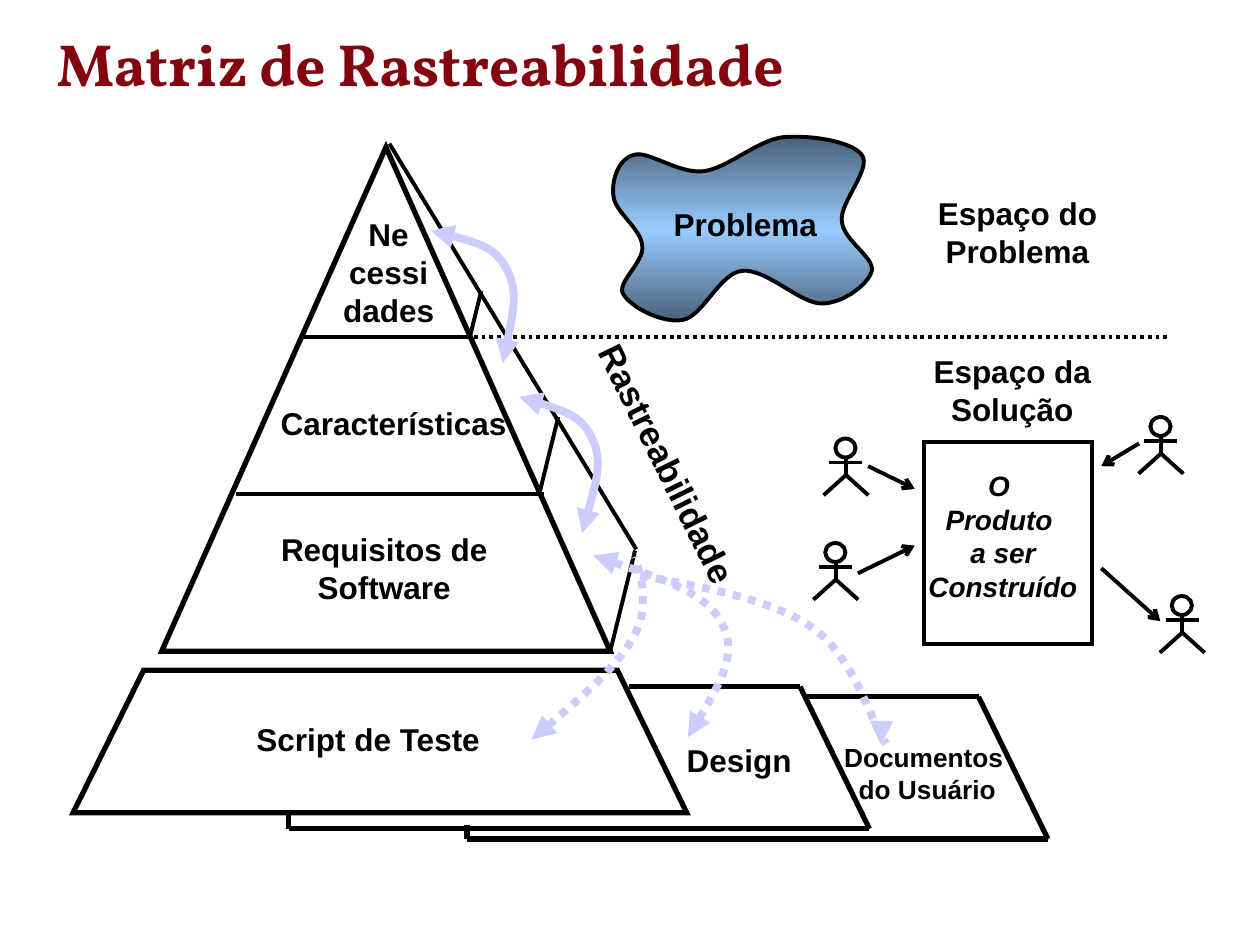
from copy import deepcopy
from dataclasses import dataclass

from lxml.etree import SubElement
from pptx import Presentation
from pptx.dml.color import RGBColor
from pptx.enum.dml import MSO_LINE
from pptx.enum.shapes import MSO_CONNECTOR, MSO_SHAPE
from pptx.enum.text import PP_ALIGN
from pptx.oxml.ns import qn
from pptx.util import Pt


@dataclass(frozen=True)
class Theme:
    ink: str = "000000"
    title: str = "83030F"
    trace: str = "CCCCFF"
    blob_edge: str = "475E76"
    blob_middle: str = "99CCFF"
    body_font: str = "Arial"
    title_font: str = "Vollkorn"
    title_size: float = 34
    trace_size: float = 20
    label_size: float = 18
    product_size: float = 16
    small_size: float = 15
    thin: float = 2.25
    thick: float = 3
    trace_width: float = 4.5


THEME = Theme()


def style_line(shape, color=THEME.ink, width=THEME.thin, dotted=False, head=None, tail=None):
    shape.line.color.rgb = RGBColor.from_string(color)
    shape.line.width = Pt(width)
    if dotted:
        shape.line.dash_style = MSO_LINE.ROUND_DOT
    outline = shape.element.spPr.find(qn("a:ln"))
    SubElement(outline, qn("a:miter"), lim="800000")
    for end, kind in (("a:headEnd", head), ("a:tailEnd", tail)):
        if kind:
            SubElement(outline, qn(end), type=kind)


def draw_line(page, start, end, **line_format):
    points = [Pt(value) for value in (*start, *end)]
    line = page.shapes.add_connector(MSO_CONNECTOR.STRAIGHT, *points)
    style_line(line, **line_format)
    SubElement(line.element.spPr, qn("a:effectLst"))


def draw_preset(page, kind, box, **line_format):
    shape = page.shapes.add_shape(kind, *[Pt(value) for value in box])
    shape.shadow.inherit = False
    shape.fill.background()
    style_line(shape, **line_format)


def draw_outline(page, points, closed=False, curved=False, **line_format):
    """Join points by straight lines, or read them as cubic curves (two controls, one end)."""
    start, *others = [(Pt(x), Pt(y)) for x, y in points]
    builder = page.shapes.build_freeform(*start)
    builder.add_line_segments(others, close=closed)
    shape = builder.convert_to_shape()
    if curved:
        steps = shape.element.xpath(".//a:lnTo")
        for first, second, third in zip(steps[::3], steps[1::3], steps[2::3]):
            first.tag = qn("a:cubicBezTo")
            for step in (second, third):
                first.append(step[0])
                step.getparent().remove(step)
    shape.shadow.inherit = False
    shape.fill.background()
    style_line(shape, **line_format)
    return shape


def put_text(page, text, box, size=THEME.label_size, font=THEME.body_font, color=THEME.ink,
             italic=False, align=PP_ALIGN.CENTER, inset=7.2, rotation=0):
    """Write bold text, one paragraph for each line."""
    text_box = page.shapes.add_textbox(*[Pt(value) for value in box])
    text_box.rotation = rotation
    frame = text_box.text_frame
    frame.word_wrap = True
    frame.margin_left = frame.margin_right = Pt(inset)
    frame.margin_top = frame.margin_bottom = Pt(inset / 2)
    frame.text = text
    for para in frame.paragraphs:
        para.alignment = align
        for span in para.runs:
            span.font.name = font
            span.font.size = Pt(size)
            span.font.bold = True
            span.font.italic = italic
            span.font.color.rgb = RGBColor.from_string(color)


def draw_problem_blob(page):
    blob = draw_outline(page, [
        (367, 140.4),
        (366.5, 131), (351.4, 121), (350.6, 112.3),
        (349.2, 103), (353.5, 90.7), (362.2, 88.6),
        (370, 85.7), (387.4, 99.4), (401.8, 97.9),
        (415.4, 96.5), (432, 80.6), (447.1, 78.5),
        (462.2, 77), (486.7, 80.6), (492.5, 88.6),
        (498.2, 96.5), (480.2, 115.2), (481, 126),
        (481.7, 137.5), (499.7, 146.9), (498.2, 154.8),
        (496.1, 162.7), (481.7, 173.5), (469.4, 173.5),
        (457.2, 173.5), (437.8, 153.4), (424.1, 154.8),
        (411.1, 156.2), (401.8, 180.7), (390.2, 182.9),
        (378.7, 185), (360.7, 175.7), (356.4, 168.5),
        (351.4, 162), (368.6, 149.8), (367, 140.4),
    ], closed=True, curved=True)
    blob.fill.gradient()
    blob.fill.gradient_angle = 90
    stop_list = blob.element.xpath(".//a:gsLst")[0]
    stop_list.insert(1, deepcopy(stop_list[0]))
    colors = (THEME.blob_edge, THEME.blob_middle, THEME.blob_edge)
    for stop, position, color in zip(blob.fill.gradient_stops, (0, 0.5, 1), colors):
        stop.position = position
        stop.color.rgb = RGBColor.from_string(color)


def draw_pyramid(page):
    draw_preset(page, MSO_SHAPE.ISOSCELES_TRIANGLE, (92.4, 84.2, 256.3, 288), width=THEME.thick)
    draw_line(page, (172.8, 192.4), (269.3, 192.4))
    draw_line(page, (134.6, 282.2), (311, 282.2))
    draw_line(page, (270.7, 192.6), (668.9, 192.6), dotted=True)


def draw_pyramid_side(page):
    for start, end in (
        ((222.5, 82.1), (363.6, 313.9)),
        ((362.9, 314.6), (348.5, 373)),
        ((319, 238.3), (308.2, 282.2)),
        ((275, 166.3), (268.6, 192.2)),
    ):
        draw_line(page, start, end)


def draw_sheets(page):
    """Draw the front sheet whole, and the visible edges of the two behind it."""
    front = [(41.8, 464.4), (82.1, 383), (352.8, 383), (392.4, 464.4)]
    draw_outline(page, front, closed=True, width=THEME.thick)
    edge = [(359.3, 392.4), (457.2, 392.4), (496.8, 473.6), (164.9, 473.6), (164.9, 465.8)]
    for right, down in ((0, 0), (102, 5.8)):
        corners = [(x + right, y + down) for x, y in edge]
        for start, end in zip(corners, corners[1:]):
            draw_line(page, start, end, width=THEME.thick)


def draw_actor(page, x, y):
    """Draw a stick figure whose head has its top left corner at x, y."""
    middle, hip = x + 6, y + 20.9
    draw_preset(page, MSO_SHAPE.OVAL, (x, y, 11.5, 10.8))
    draw_line(page, (middle, y + 10.8), (middle, hip))
    draw_line(page, (middle - 9.4, y + 13.7), (middle + 9.4, y + 13.7))
    draw_outline(page, [(middle - 12.8, y + 32.4), (middle, hip), (middle + 12.8, y + 32.4)])


def draw_product(page):
    draw_preset(page, MSO_SHAPE.RECTANGLE, (527.8, 252.7, 96.5, 115.2))
    for start, end in (
        ((496.1, 266.4), (522.7, 279.4)),
        ((490.3, 327.6), (522.7, 311.8)),
        ((650.9, 253.4), (629.3, 266.4)),
        ((629.3, 324.7), (663.1, 355)),
    ):
        draw_line(page, start, end, tail="arrow")
    for x, y in ((477.4, 250.6), (471.6, 310.3), (657.4, 238.3), (669.6, 340.6)):
        draw_actor(page, x, y)


def draw_traces(page):
    both = {"head": "triangle", "tail": "triangle"}
    for points, ends in (
        ([(287.3, 207.4), (291.6, 187.2), (296.6, 166.3), (289.4, 153.4),
          (283, 141.1), (265, 136.1), (246.2, 131.8)], both),
        ([(332.6, 304.6), (338.4, 283.7), (344.9, 263.5), (338.4, 250.6),
          (332.6, 237.6), (314.6, 231.8), (296.6, 226.8)], both),
        ([(303.8, 422.6), (327.6, 402.5), (351.4, 382.3), (361.4, 365),
          (371.5, 347.8), (367.2, 332.6), (362.9, 318.2)], {"head": "triangle", "dotted": True}),
        ([(393.1, 421.2), (407.5, 397.4), (421.9, 373.7), (412.6, 356.4),
          (403.9, 339.1), (371.5, 328.3), (339.1, 317.5)], {**both, "dotted": True}),
        ([(365.8, 329), (403.2, 335.5), (440.6, 342.7), (463, 357.8),
          (486, 373), (496.8, 408.2), (503.3, 419.8),
          (509.8, 431.3), (506.9, 428.4), (503.3, 425.5)], {"tail": "triangle", "dotted": True}),
    ):
        draw_outline(page, points, curved=True, color=THEME.trace, width=THEME.trace_width, **ends)


def write_labels(page):
    for text, box in (
        ("Problema", (377.3, 113.8, 97.2, 28.8)),
        ("Espaço da Solução", (522, 197.6, 113, 50.4)),
        ("Espaço do Problema", (522, 107.3, 118.8, 50.4)),
        ("Ne\ncessi\ndades", (180, 119.5, 84.2, 72)),
        ("Características", (150, 227.5, 149.8, 28.8)),
        ("Requisitos de Software", (144, 299.5, 151.2, 72)),
    ):
        put_text(page, text, box)
    put_text(page, "Rastreabilidade", (295.9, 249.1, 170.6, 31.7), size=THEME.trace_size,
             rotation=63.7)


def write_product_labels(page):
    put_text(page, "O \nProduto \na ser\nConstruído", (516.2, 263.5, 113.8, 85),
             size=THEME.product_size, italic=True, inset=8.6)
    put_text(page, "Documentos\n do Usuário", (469.8, 419.3, 116, 44.6),
             size=THEME.small_size, inset=8.6)
    for text, box in (
        ("Script de Teste", (138, 407.2, 160, 30.2)),
        ("Design", (383.8, 419, 90, 30.2)),
    ):
        put_text(page, text, box, align=PP_ALIGN.LEFT, inset=8.6)


def main():
    deck = Presentation()
    deck.slide_width, deck.slide_height = Pt(720), Pt(540)
    page = deck.slides.add_slide(deck.slide_layouts[6])
    draw_problem_blob(page)
    draw_pyramid(page)
    write_labels(page)
    draw_sheets(page)
    draw_product(page)
    draw_pyramid_side(page)
    draw_traces(page)
    write_product_labels(page)
    put_text(page, "Matriz de Rastreabilidade", (25.2, 12.2, 658.8, 36), size=THEME.title_size,
             font=THEME.title_font, color=THEME.title, align=PP_ALIGN.LEFT)
    deck.save("out.pptx")


if __name__ == "__main__":
    main()
